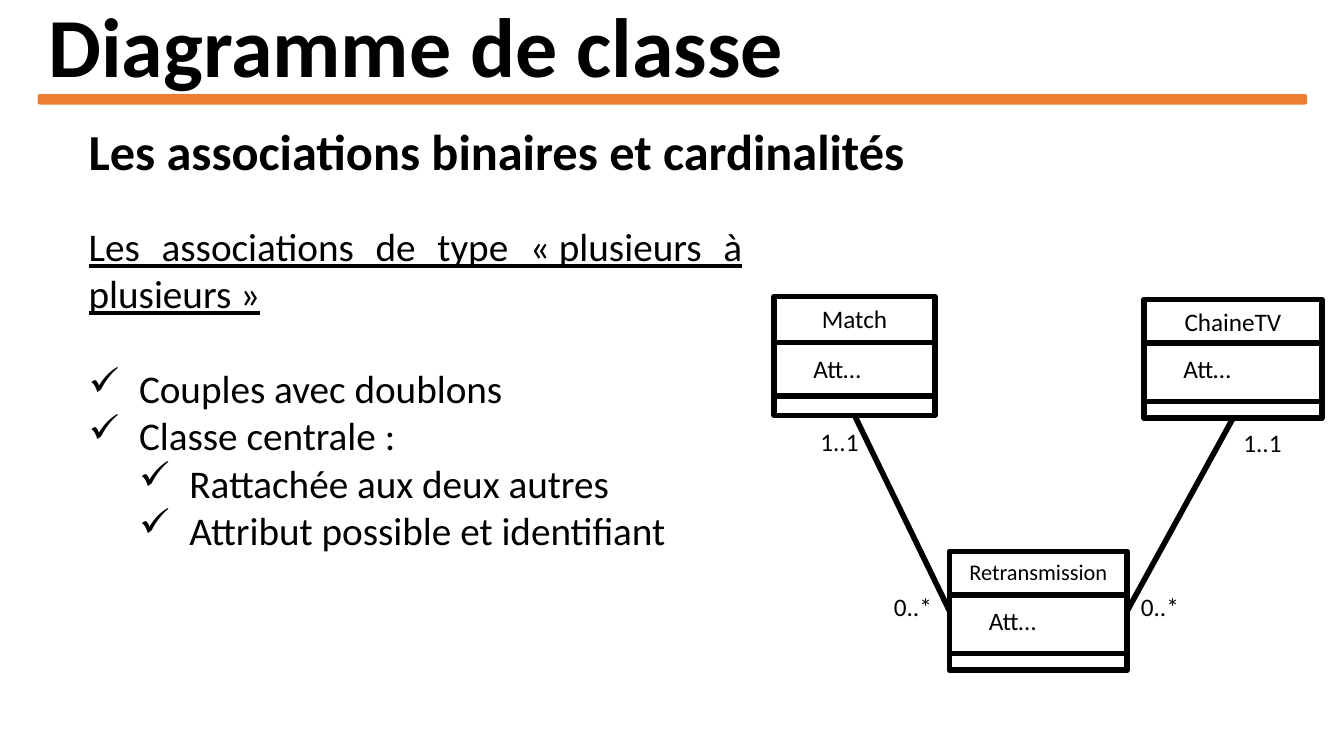
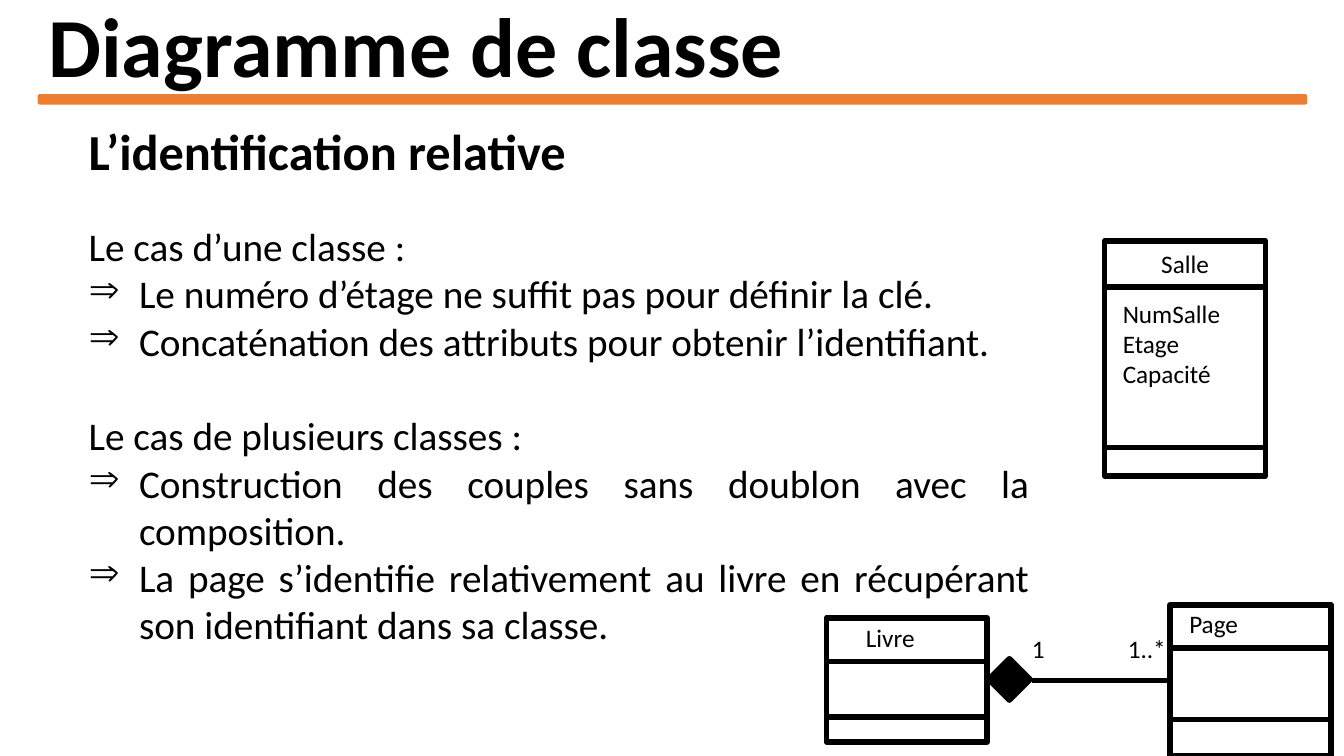
import pptx
import pptx.util
import pptx.dml.color
import pptx.enum.shapes
import pptx.enum.text
import lxml.etree

Pt = pptx.util.Pt
RGB = pptx.dml.color.RGBColor
SHAPE = pptx.enum.shapes.MSO_SHAPE
ALIGN = pptx.enum.text.PP_ALIGN
ANCHOR = pptx.enum.text.MSO_ANCHOR

BLACK = RGB(0x00, 0x00, 0x00)
WHITE = RGB(0xFF, 0xFF, 0xFF)
ORANGE = RGB(0xED, 0x7D, 0x31)
FONT = "Calibri"
STROKE = 4
INDENT = 36
GAP = 34.2
CHECK, ARROW = "✓", "⇒"


def bullet(para, mark, level):
    """Give a paragraph a hanging bullet."""
    props = para._p.get_or_add_pPr()
    props.set("marL", str(Pt(INDENT * (level + 1))))
    props.set("indent", str(-Pt(INDENT)))
    tag = pptx.oxml.ns.qn("a:buChar")
    lxml.etree.SubElement(props, tag).set("char", mark)


def write(slide, box, rows, size=18, bold=False, align=ALIGN.LEFT,
          anchor=ANCHOR.TOP, lines=None, wrap=True):
    """Place text; a row is a string or a dict with text and row format."""
    frame = slide.shapes.add_textbox(*map(Pt, box)).text_frame
    frame.word_wrap = wrap
    frame.vertical_anchor = anchor
    for i, row in enumerate([rows] if isinstance(rows, str) else rows):
        row = {"text": row} if isinstance(row, str) else row
        para = frame.paragraphs[0] if i == 0 else frame.add_paragraph()
        para.alignment = align
        if lines:
            para.line_spacing = lines
        if row.get("gap"):
            para.space_before = Pt(row["gap"])
        if row.get("mark"):
            para.level = row.get("level", 0)
            bullet(para, row["mark"], para.level)
        run = para.add_run()
        run.text = row["text"]
        font = run.font
        font.name, font.size, font.bold = FONT, Pt(size), bold
        font.underline = row.get("under", False)
        font.color.rgb = BLACK


def shape(slide, kind, box, fill, line, width):
    item = slide.shapes.add_shape(kind, *map(Pt, box))
    item.shadow.inherit = False
    item.fill.solid()
    item.fill.fore_color.rgb = fill
    item.line.color.rgb = line
    item.line.width = Pt(width)
    return item


def link(slide, start, end):
    kind = pptx.enum.shapes.MSO_CONNECTOR.STRAIGHT
    item = slide.shapes.add_connector(kind, *map(Pt, start + end))
    item.line.color.rgb = BLACK
    item.line.width = Pt(STROKE)
    props = item._element.spPr
    lxml.etree.SubElement(props, pptx.oxml.ns.qn("a:effectLst"))


def card(slide, box, cuts, name, attrs=None, size=18, head=None, inset=21):
    """Draw a class: name, attribute and method rows split at the cuts.

    A head offset sets the name flush left; otherwise it is centred."""
    left, top, width, height = box
    shape(slide, SHAPE.RECTANGLE, box, WHITE, BLACK, STROKE)
    for cut in cuts:
        link(slide, (left, top + cut), (left + width, top + cut))
    if head is None:
        write(slide, (left, top + 1.5, width, 29), name, size=size,
              align=ALIGN.CENTER)
    else:
        write(slide, (left + head, top - 0.7, width - head, 29), name)
    if attrs:
        write(slide, (left + inset, top + cuts[0] + 4.3, width - inset, 29),
              attrs)


def tag(slide, left, top, text):
    write(slide, (left, top, 44, 29), text, wrap=False)


def foot(box):
    return box[0] + box[2] / 2, box[1] + box[3]


def side(box, right=False):
    return box[0] + box[2] * right, box[1] + box[3] / 2


def page(deck, topic, rows, width):
    """Start a slide with the shared title, rule, topic and body text."""
    slide = deck.slides.add_slide(deck.slide_layouts[6])
    write(slide, (27.4, 0, 905.8, 72), "Diagramme de classe", size=60,
          bold=True, anchor=ANCHOR.MIDDLE, lines=0.9)
    write(slide, (56.2, 82.1, 848, 51), topic, size=36, bold=True,
          align=ALIGN.JUSTIFY)
    shape(slide, SHAPE.ROUNDED_RECTANGLE, (27.4, 67.7, 905.8, 6.5),
          ORANGE, ORANGE, 1)
    write(slide, (56.2, 155.5, width, 245), rows, size=28,
          align=ALIGN.JUSTIFY)
    return slide


def pairs(deck):
    """Many-to-many associations."""
    slide = page(deck, "Les associations binaires et cardinalités", [
        {"text": "Les associations de type «\u00a0plusieurs à plusieurs\u00a0»",
         "under": True},
        {"text": "Couples avec doublons", "mark": CHECK, "gap": GAP},
        {"text": "Classe centrale :", "mark": CHECK},
        {"text": "Rattachée aux deux autres", "mark": CHECK, "level": 1},
        {"text": "Attribut possible et identifiant", "mark": CHECK,
         "level": 1},
    ], 481)
    # Classes
    match = (553, 211.7, 114.8, 85)
    chain = (817.2, 213.8, 127, 85)
    cast = (678.2, 393.8, 127, 85)
    card(slide, match, (33, 71), "Match", "Att…")
    card(slide, chain, (31, 73), "ChaineTV", "Att…")
    card(slide, cast, (31, 73), "Retransmission", "Att…", size=16)
    # Links and cardinalities
    link(slide, side(cast, right=True), foot(chain))
    link(slide, foot(match), side(cast))
    for left, top, text in ((631.4, 419, "0..*"), (807.8, 419, "0..*"),
                            (578.9, 301, "1..1"), (881, 301.7, "1..1")):
        tag(slide, left, top, text)


def ident(deck):
    """Relative identification."""
    slide = page(deck, "L’identification relative", [
        "Le cas d’une classe :",
        {"text": "Le numéro d’étage ne suffit pas pour définir la clé.",
         "mark": ARROW},
        {"text": "Concaténation des attributs pour obtenir l’identifiant.",
         "mark": ARROW},
        {"text": "Le cas de plusieurs classes :", "gap": GAP},
        {"text": "Construction des couples sans doublon avec la composition.",
         "mark": ARROW},
        {"text": "La page s’identifie relativement au livre en récupérant "
                 "son identifiant dans sa classe.", "mark": ARROW},
    ], 686)
    # Classes
    leaf = (835.9, 432, 114.8, 108)
    book = (590.4, 441.4, 114.8, 88.6)
    card(slide, (789.1, 172.1, 114.8, 167.8), (33, 147.6), "Salle",
         ["NumSalle", "Etage", "Capacité"], inset=5.8)
    card(slide, leaf, (31, 82), "Page", head=6.5)
    card(slide, book, (31, 70.6), "Livre", head=21)
    # Composition
    end = side(leaf)
    link(slide, end, (737.3, end[1]))
    gem = 29.5
    shape(slide, SHAPE.DIAMOND, (721 - gem / 2, 485.3 - gem / 2, gem, gem),
          BLACK, BLACK, STROKE)
    tag(slide, 730, 448.6, "1")
    tag(slide, 798.5, 448.6, "1..*")


def main():
    deck = pptx.Presentation()
    deck.slide_width, deck.slide_height = Pt(960), Pt(540)
    pairs(deck)
    ident(deck)
    deck.save("out.pptx")


if __name__ == "__main__":
    main()
